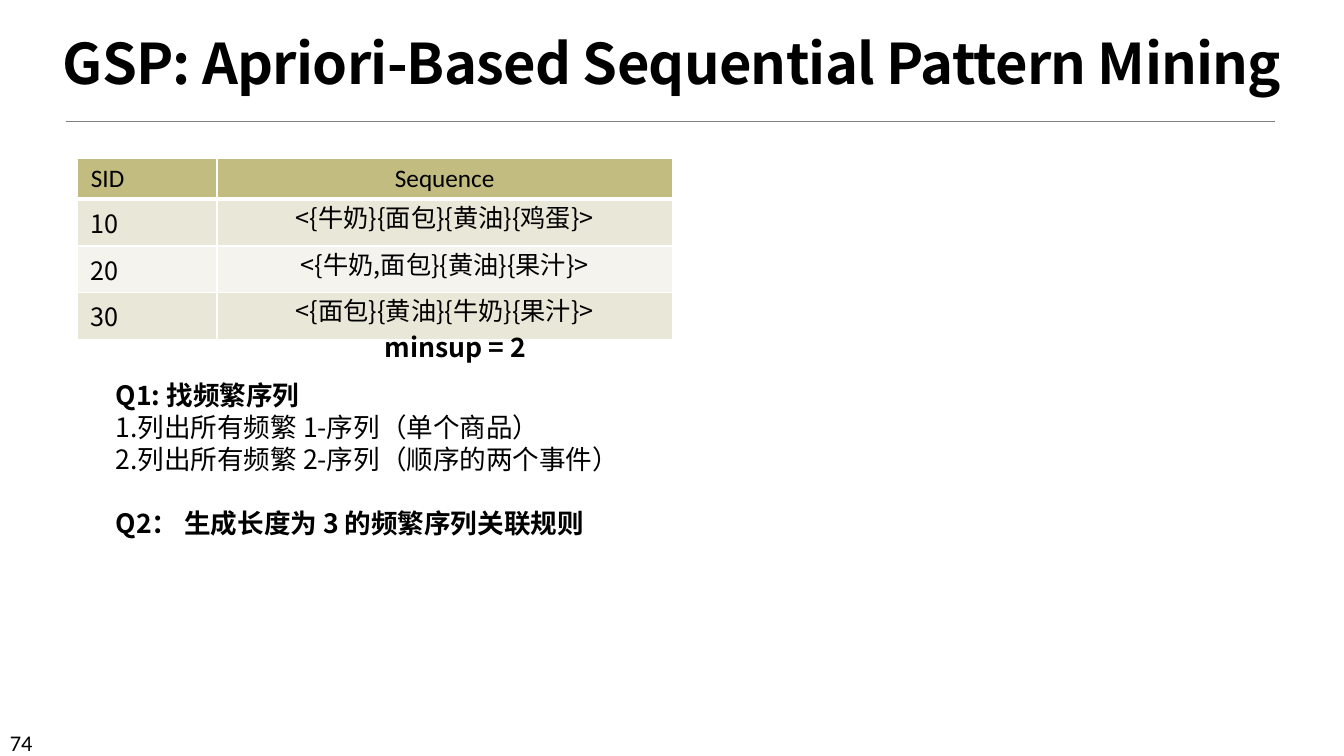
import pptx
import pptx.util
import pptx.dml.color
import pptx.enum.shapes
import pptx.enum.text
import pptx.oxml
import pptx.oxml.ns

Pt = pptx.util.Pt
ALIGN = pptx.enum.text.PP_ALIGN
NOTO = "Noto Sans CJK SC"


def color(code):
    return pptx.dml.color.RGBColor.from_string(code)


def style(para, size, face=NOTO, bold=False):
    """Format every run, with the same face for Latin and Chinese."""
    for run in para.runs:
        font = run.font
        font.size, font.name, font.bold = Pt(size), face, bold
        font.color.rgb = color("000000")
        east = pptx.oxml.parse_xml(
            f'<a:ea {pptx.oxml.ns.nsdecls("a")} typeface="{face}"/>')
        font._element.find(pptx.oxml.ns.qn("a:latin")).addnext(east)


deck = pptx.Presentation()
deck.slide_width, deck.slide_height = Pt(960), Pt(540)
slide = deck.slides.add_slide(deck.slide_layouts[5])
shapes = slide.shapes

# Title and rule
title = shapes.title
title.left, title.top, title.width, title.height = Pt(0), Pt(30.2), Pt(960), Pt(41.8)
frame = title.text_frame
frame.text = "GSP: Apriori-Based Sequential Pattern Mining"
frame.auto_size = pptx.enum.text.MSO_AUTO_SIZE.NONE
frame.vertical_anchor = pptx.enum.text.MSO_ANCHOR.BOTTOM
head = frame.paragraphs[0]
head.alignment = ALIGN.CENTER
head.line_spacing = 0.85
style(head, 40, bold=True)
head.runs[0].font._element.set("spc", "-50")

rule = shapes.add_connector(
    pptx.enum.shapes.MSO_CONNECTOR.STRAIGHT, Pt(46.8), Pt(86.4), Pt(910.8), Pt(86.4))
rule.line.color.rgb = color("808080")
rule.line.width = Pt(0.5)
rule._element.spPr.append(
    pptx.oxml.parse_xml(f'<a:effectLst {pptx.oxml.ns.nsdecls("a")}/>'))

# Sequence table
rows = [
    ("SID", "Sequence"),
    ("10", "<{牛奶}{面包}{黄油}{鸡蛋}>"),
    ("20", "<{牛奶,面包}{黄油}{果汁}>"),
    ("30", "<{面包}{黄油}{牛奶}{果汁}>"),
]
fills = ["C2BC80", "E9E7D8", "F4F3ED", "E9E7D8"]
table = shapes.add_table(4, 2, Pt(55.6), Pt(113.2), Pt(424.8), Pt(113)).table
table.columns[0].width, table.columns[1].width = Pt(99.4), Pt(325.4)
for i, row in enumerate(rows):
    table.rows[i].height = Pt(28.8 if i == 0 else 28.1)
    for j, text in enumerate(row):
        cell = table.cell(i, j)
        cell.margin_left = cell.margin_right = Pt(9.4)
        for side in "LRTB":
            thick = (i == 0 and side == "B") or (i == 1 and side == "T")
            cell._tc.get_or_add_tcPr().append(pptx.oxml.parse_xml(
                f'<a:ln{side} {pptx.oxml.ns.nsdecls("a")} w="{Pt(3 if thick else 1)}">'
                '<a:solidFill><a:srgbClr val="FFFFFF"/></a:solidFill>'
                f'</a:ln{side}>'))
        cell.fill.solid()
        cell.fill.fore_color.rgb = color(fills[i])
        cell.text_frame.text = text
        para = cell.text_frame.paragraphs[0]
        if j == 1:
            para.alignment = ALIGN.CENTER
            if i > 0:
                para.line_spacing = 0.8
        style(para, 18, NOTO if i else "Calibri")

# Questions, support threshold and page number
line = 22.9
tasks = [
    ("Q1: 找频繁序列", True),
    ("列出所有频繁 1-序列（单个商品）", False),
    ("列出所有频繁 2-序列（顺序的两个事件）", False),
    ("Q2： 生成长度为 3 的频繁序列关联规则", True),
]
frame = shapes.add_textbox(Pt(75.6), Pt(267.1), Pt(481.7), Pt(122.4)).text_frame
frame.word_wrap = True
frame.text = "\n".join(text for text, bold in tasks)
for para, (text, bold) in zip(frame.paragraphs, tasks):
    para.line_spacing = Pt(line)
    if not bold:
        props = para._p.get_or_add_pPr()
        props.set("marL", "0")
        props.set("indent", "0")
        props.append(pptx.oxml.parse_xml(
            f'<a:buAutoNum {pptx.oxml.ns.nsdecls("a")} type="arabicPeriod"/>'))
    style(para, 19, bold=bold)
frame.paragraphs[3].space_before = Pt(line)

frame = shapes.add_textbox(Pt(267.8), Pt(232.6), Pt(120.2), Pt(30.2)).text_frame
frame.word_wrap = True
frame.text = "minsup = 2"
frame.paragraphs[0].line_spacing = Pt(line)
style(frame.paragraphs[0], 19, bold=True)

frame = shapes.add_textbox(Pt(0), Pt(517), Pt(84.2), Pt(21.6)).text_frame
frame.word_wrap = True
frame.text = "74"
style(frame.paragraphs[0], 16, "Calibri")

deck.save("out.pptx")
